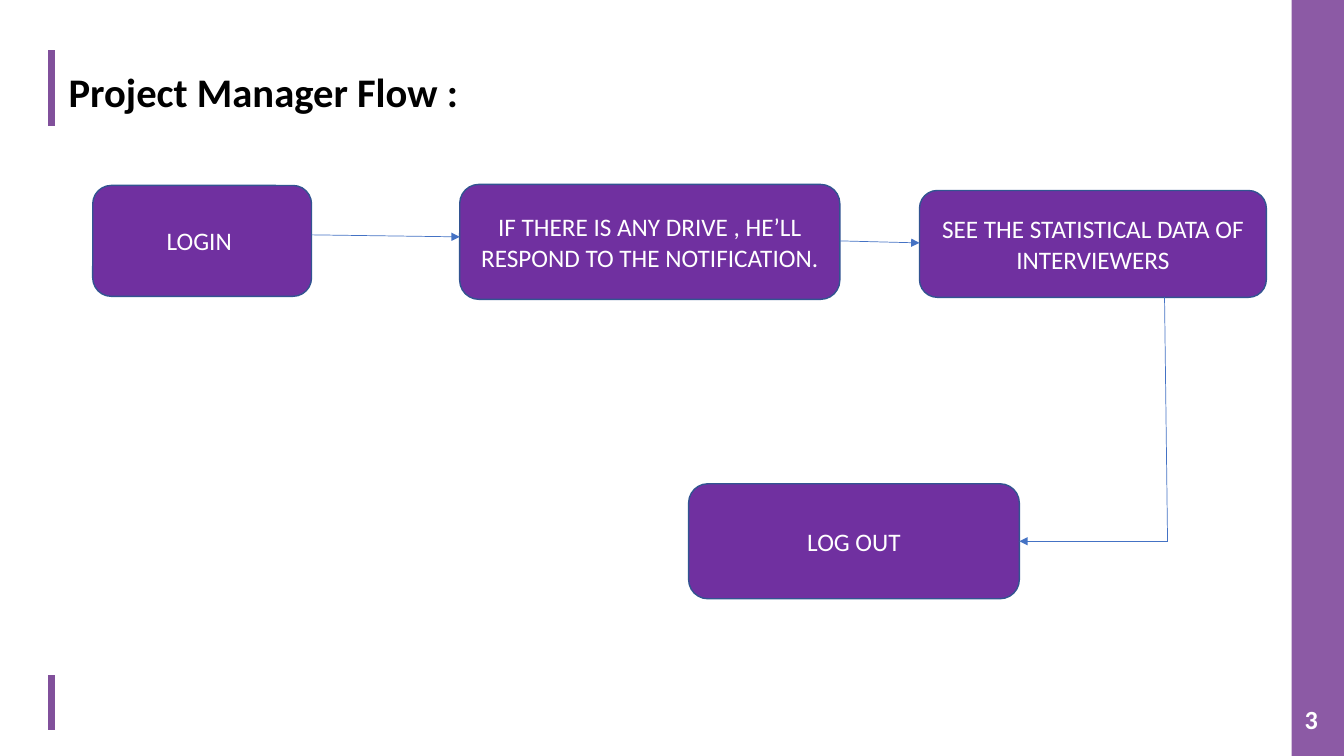
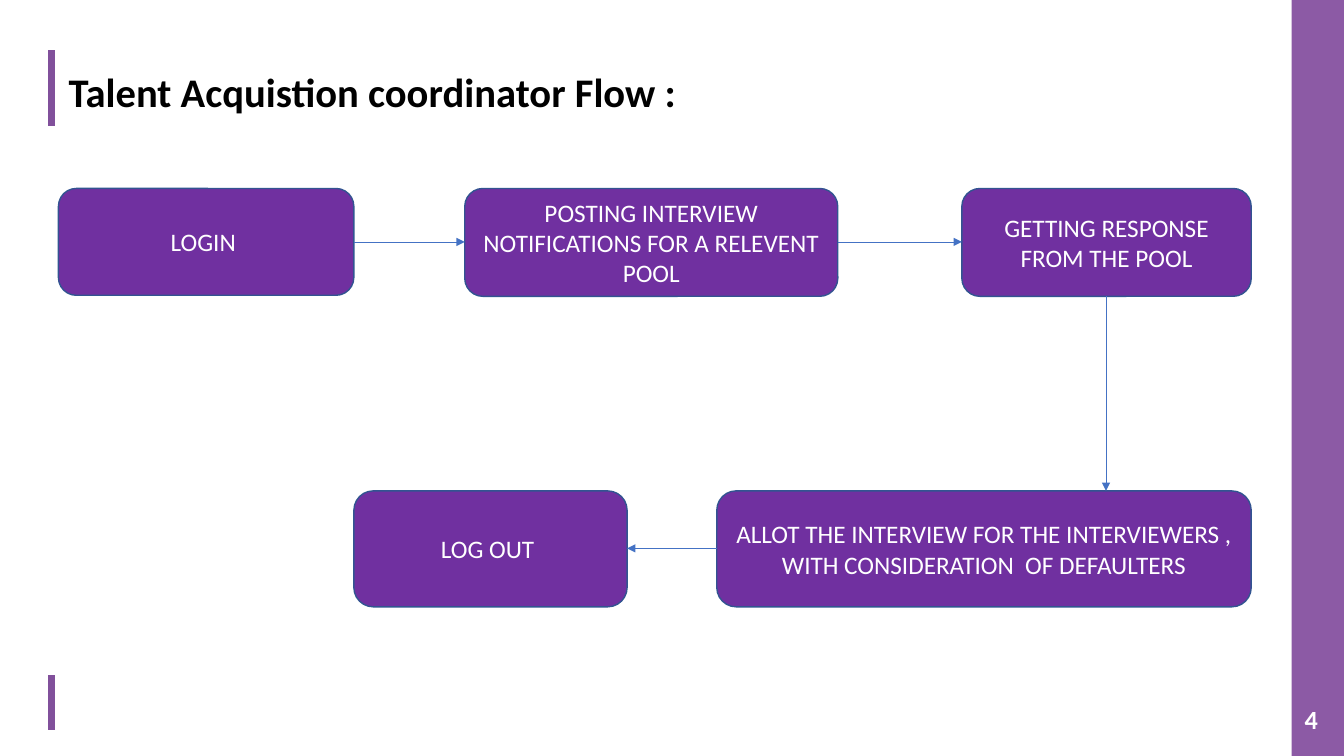
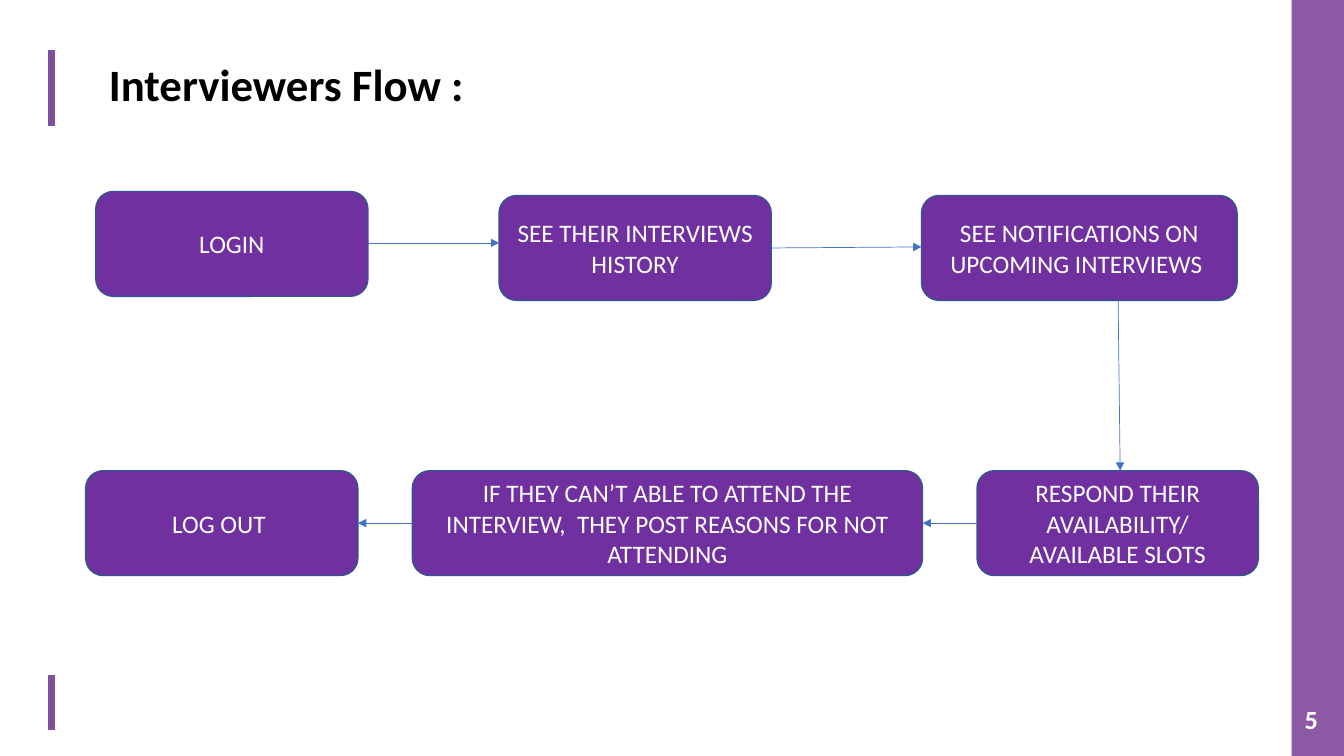
import itertools
from dataclasses import dataclass

import pptx
import pptx.dml.color
import pptx.enum.shapes
import pptx.enum.text
import pptx.oxml.ns
import pptx.oxml.xmlchemy
import pptx.util

Inches = pptx.util.Inches
Pt = pptx.util.Pt
Anchor = pptx.enum.text.MSO_ANCHOR
Align = pptx.enum.text.PP_ALIGN
Preset = pptx.enum.shapes.MSO_SHAPE


@dataclass(frozen=True)
class Theme:
    font: str = "Calibri"
    band: str = "8C5AA5"
    accent: str = "81509B"
    box: str = "7030A0"
    outline: str = "325491"
    arrow: str = "4472C4"
    black: str = "000000"
    white: str = "FFFFFF"
    box_size: float = 18
    number_size: float = 18.7
    accent_width: float = 5
    arrow_width: float = 0.5


THEME = Theme()
WIDTH, HEIGHT = 13.33, 7.5
BAND_WIDTH = 0.52
ACCENT_X = 0.51
ACCENT_SPANS = [(0.5, 1.25), (6.7, 7.24)]
NUMBER_AREA = (12.87, 6.95, 0.44, 0.38)
TITLE_AREA = (0.58, 0.67, 11.64, 0.54)
FIRST_NUMBER = 3

# Steps follow the flow: text, left, top, width, height.
# Each crossing holds the start and end coordinate, across its direction,
# of the arrow that joins one step to the next.
FLOWS = [
    {
        "title": "Project Manager Flow :", "title_size": 29, "title_area": TITLE_AREA,
        "steps": [
            ("LOGIN ", 0.92, 1.84, 2.17, 1.1),
            ("IF THERE IS ANY DRIVE , HE’LL RESPOND TO THE NOTIFICATION.", 4.56, 1.83, 3.77, 1.14),
            ("SEE THE STATISTICAL DATA OF INTERVIEWERS", 9.12, 1.89, 3.44, 1.06),
            ("LOG OUT", 6.83, 4.8, 3.28, 1.14),
        ],
        "crossings": [(2.33, 2.35), (2.39, 2.41), (11.55, 11.58)],
    },
    {
        "title": "Talent Acquistion coordinator Flow :", "title_size": 29, "title_area": TITLE_AREA,
        "steps": [
            ("LOGIN ", 0.58, 1.87, 2.93, 1.06),
            ("POSTING INTERVIEW NOTIFICATIONS FOR A RELEVENT POOL", 4.61, 1.87, 3.7, 1.07),
            ("GETTING RESPONSE FROM THE POOL", 9.54, 1.87, 2.87, 1.07),
            ("ALLOT THE INTERVIEW FOR THE INTERVIEWERS , WITH CONSIDERATION  OF DEFAULTERS",
             7.11, 4.87, 5.3, 1.15),
            ("LOG OUT ", 3.51, 4.87, 2.71, 1.15),
        ],
        "crossings": [(2.4, 2.4), (2.4, 2.4), (10.97, 10.97), (5.44, 5.44)],
    },
    {
        "title": "Interviewers Flow :", "title_size": 32, "title_area": (0.98, 0.54, 3.97, 0.64),
        "steps": [
            ("LOGIN", 0.95, 1.9, 2.7, 1.04),
            ("SEE THEIR INTERVIEWS HISTORY", 4.95, 1.94, 2.7, 1.04),
            ("SEE NOTIFICATIONS ON UPCOMING INTERVIEWS ", 9.14, 1.94, 3.13, 1.04),
            ("RESPOND THEIR AVAILABILITY/ AVAILABLE SLOTS", 9.69, 4.67, 2.79, 1.04),
            ("IF THEY CAN’T ABLE TO ATTEND THE INTERVIEW,  THEY POST REASONS FOR NOT ATTENDING",
             4.09, 4.67, 5.06, 1.04),
            ("LOG OUT ", 0.85, 4.67, 2.7, 1.04),
        ],
        "crossings": [(2.41, 2.41), (2.46, 2.45), (11.09, 11.11), (5.19, 5.19), (5.19, 5.19)],
    },
]


def color(value):
    return pptx.dml.color.RGBColor.from_string(value)


def write(shape, text, *, size, ink, bold=False, align=Align.LEFT, anchor=Anchor.MIDDLE,
          wrap=True, spacing=1.0, insets=(0.1, 0.05)):
    frame = shape.text_frame
    frame.auto_size = pptx.enum.text.MSO_AUTO_SIZE.NONE
    frame.word_wrap = wrap
    frame.vertical_anchor = anchor
    frame.margin_left = frame.margin_right = Inches(insets[0])
    frame.margin_top = frame.margin_bottom = Inches(insets[1])
    paragraph = frame.paragraphs[0]
    paragraph.alignment = align
    paragraph.line_spacing = spacing
    run = paragraph.add_run()
    run.text = text
    run.font.name = THEME.font
    run.font.size = Pt(size)
    run.font.bold = bold
    run.font.color.rgb = color(ink)


def add_block(slide, preset, area, fill, outline=None):
    shape = slide.shapes.add_shape(preset, *map(Inches, area))
    shape.shadow.inherit = False
    shape.fill.solid()
    shape.fill.fore_color.rgb = color(fill)
    if outline:
        shape.line.color.rgb = color(outline)
        shape.line.width = Pt(1)
    else:
        shape.line.fill.background()
    return shape


def add_line(slide, start, end, ink, width, arrow=False):
    straight = pptx.enum.shapes.MSO_CONNECTOR.STRAIGHT
    line = slide.shapes.add_connector(straight, *map(Inches, (*start, *end)))
    line.line.color.rgb = color(ink)
    line.line.width = Pt(width)
    properties = line.element.spPr
    if arrow:
        head = pptx.oxml.xmlchemy.OxmlElement("a:tailEnd")
        head.set("type", "triangle")
        properties.find(pptx.oxml.ns.qn("a:ln")).append(head)
    properties.append(pptx.oxml.xmlchemy.OxmlElement("a:effectLst"))
    return line


def furnish_layout(layout, slide):
    """Draw the shared accents and band, then move them to the layout."""
    shared = [add_line(slide, (ACCENT_X, top), (ACCENT_X, bottom), THEME.accent, THEME.accent_width)
              for top, bottom in ACCENT_SPANS]
    band_area = (WIDTH - BAND_WIDTH, 0, BAND_WIDTH, HEIGHT)
    shared.append(add_block(slide, Preset.RECTANGLE, band_area, THEME.band))
    for number, shape in enumerate(shared, start=101):
        shape.element.xpath(".//p:cNvPr")[0].set("id", str(number))
        layout.shapes.element.append(shape.element)


def route(source, target, crossing):
    """Return the points of the arrow that joins two steps."""
    _, left, top, width, height = source
    _, next_left, next_top, next_width, next_height = target
    start, end = crossing
    if next_top > top + height:
        leave = (start, top + height)
        if next_left <= end <= next_left + next_width:
            return [leave, (end, next_top)]
        middle = next_top + next_height / 2
        return [leave, (end, middle), (next_left + next_width, middle)]
    if next_left > left:
        return [(left + width, start), (next_left, end)]
    return [(left, start), (next_left + next_width, end)]


def fill_slide(slide, flow, number):
    title = slide.shapes.title
    title.left, title.top, title.width, title.height = map(Inches, flow["title_area"])
    write(title, flow["title"], size=flow["title_size"], ink=THEME.black, bold=True, spacing=0.9)

    number_box = slide.shapes.add_textbox(*map(Inches, NUMBER_AREA))
    write(number_box, str(number), size=THEME.number_size, ink=THEME.white, bold=True,
          anchor=Anchor.TOP, wrap=False, insets=(0.07, 0.03))

    for text, *area in flow["steps"]:
        box = add_block(slide, Preset.ROUNDED_RECTANGLE, area, THEME.box, THEME.outline)
        write(box, text, size=THEME.box_size, ink=THEME.white, align=Align.CENTER)

    for (source, target), crossing in zip(itertools.pairwise(flow["steps"]), flow["crossings"]):
        points = route(source, target, crossing)
        for start, end in itertools.pairwise(points):
            add_line(slide, start, end, THEME.arrow, THEME.arrow_width, arrow=end == points[-1])


def main():
    presentation = pptx.Presentation()
    presentation.slide_width = Inches(WIDTH)
    presentation.slide_height = Inches(HEIGHT)
    layout = presentation.slide_layouts.get_by_name("Title Only")
    slides = [presentation.slides.add_slide(layout) for _ in FLOWS]
    furnish_layout(layout, slides[0])
    for number, (slide, flow) in enumerate(zip(slides, FLOWS), start=FIRST_NUMBER):
        fill_slide(slide, flow, number)
    presentation.save("out.pptx")


if __name__ == "__main__":
    main()
